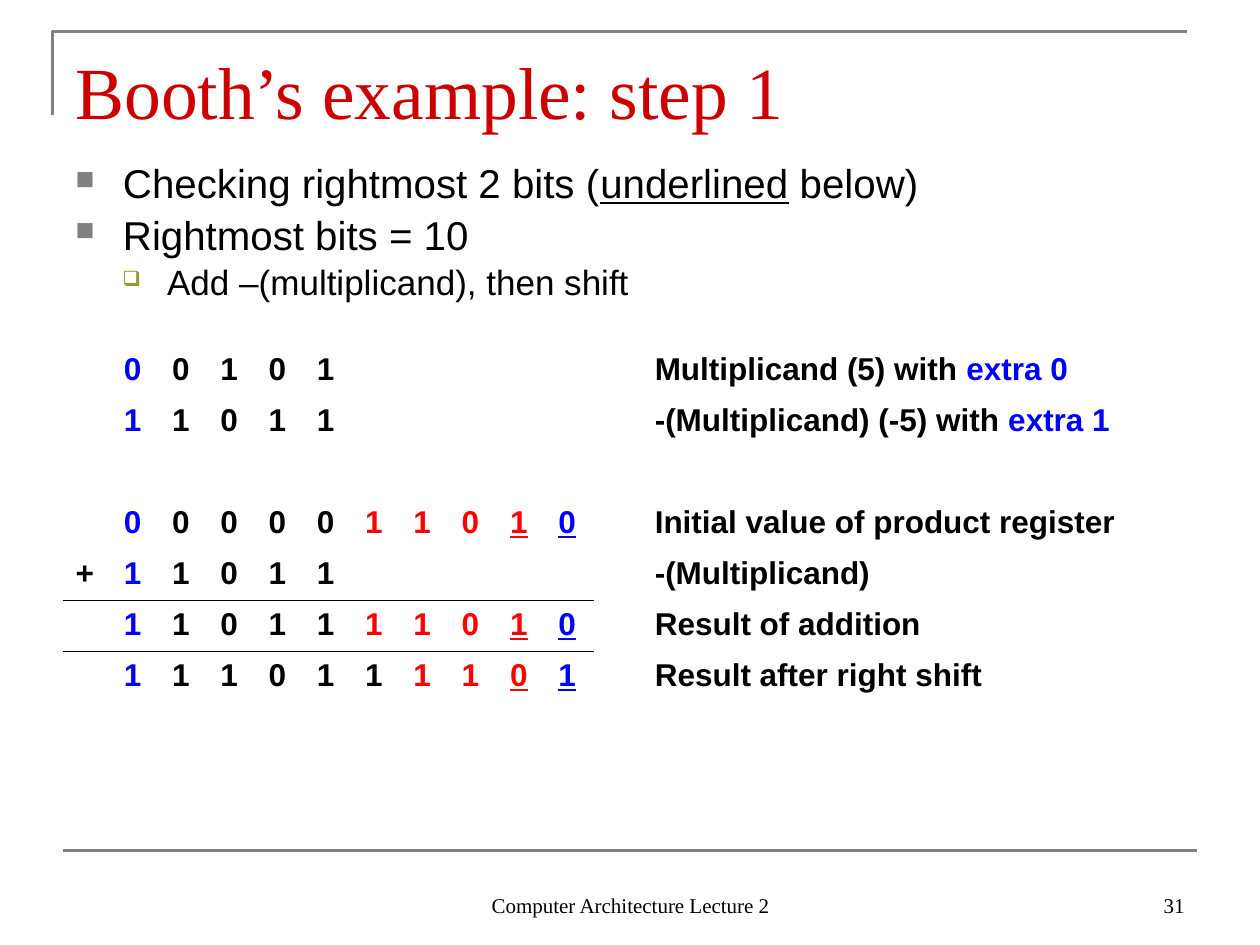
import lxml.etree
import pptx
import pptx.dml.color
import pptx.enum.shapes
import pptx.enum.text
import pptx.oxml
import pptx.oxml.ns
import pptx.util
from pptx.util import Cm

COLORS = {"title": "CC0000", "text": "000000", "extra": "0000FF", "multiplier": "FF0000",
          "frame": "808080", "sub_bullet": "999933"}
SERIF, SANS = "Times New Roman", "Arial"
ALIGN, ANCHOR = pptx.enum.text.PP_ALIGN, pptx.enum.text.MSO_ANCHOR
NO_STYLE = "{2D5ABB26-0587-4C30-8999-92F81FD0307C}"

BODY = {"size": 23, "left": 0.96, "hang": 0.96, "before": 5.8,
        "mark": "■", "mark_color": "frame", "mark_size": 65}
SUB = {"size": 20, "left": 1.85, "hang": 0.9, "before": 5,
       "mark": "❑", "mark_color": "sub_bullet", "mark_size": 60}
BULLETS = [
    (BODY, [("Checking rightmost 2 bits (", False), ("underlined", True), (" below)", False)]),
    (BODY, [("Rightmost bits = 10", False)]),
    (SUB, [("Add –(multiplicand), then shift", False)]),
]

# sign, bits, first multiplier bit, description, highlighted end of description
STEPS = [
    ("", "00101", 5, "Multiplicand (5) with ", "extra 0"),
    ("", "11011", 5, "-(Multiplicand) (-5) with ", "extra 1"),
    ("", "", 5, "", ""),
    ("", "0000011010", 5, "Initial value of product register", ""),
    ("+", "11011", 5, "-(Multiplicand)", ""),
    ("", "1101111010", 5, "Result of addition", ""),
    ("", "1110111101", 6, "Result after right shift", ""),
]
SUM_ROW = 4
BIT_COUNT = 10


def rgb(name):
    return pptx.dml.color.RGBColor.from_string(COLORS[name])


def add_span(para, text, color="text", **formats):
    span = para.add_run()
    span.text = text
    span.font.color.rgb = rgb(color)
    for name, value in formats.items():
        setattr(span.font, name, pptx.util.Pt(value) if name == "size" else value)


def add_box(page, left, top, width, height, **formats):
    """Add a wrapping text box and return its text frame."""
    frame = page.shapes.add_textbox(Cm(left), Cm(top), Cm(width), Cm(height)).text_frame
    frame.word_wrap = True
    for name, value in formats.items():
        setattr(frame, name, value)
    return frame


def add_label(page, position, text, size, color="text", align=ALIGN.LEFT, **formats):
    para = add_box(page, *position, vertical_anchor=ANCHOR.BOTTOM, **formats).paragraphs[0]
    para.alignment = align
    add_span(para, text, color, size=size, name=SERIF)


def style_line(shape):
    shape.line.color.rgb = rgb("frame")
    shape.line.width = pptx.util.Pt(1.5)


def add_frame_lines(page):
    builder = page.shapes.build_freeform(Cm(1.06), Cm(2.32))
    builder.add_line_segments([(Cm(1.06), Cm(0.63)), (Cm(23.92), Cm(0.63))], close=False)
    corner = builder.convert_to_shape()
    corner.fill.background()
    corner.shadow.inherit = False
    style_line(corner)
    rule = page.shapes.add_connector(pptx.enum.shapes.MSO_CONNECTOR.STRAIGHT,
                                     Cm(1.27), Cm(17.14), Cm(24.13), Cm(17.14))
    style_line(rule)
    lxml.etree.SubElement(rule._element.spPr, pptx.oxml.ns.qn("a:effectLst"))


def set_bullet(para, style):
    properties = para._p.get_or_add_pPr()
    properties.set("marL", str(Cm(style["left"])))
    properties.set("indent", str(-Cm(style["hang"])))
    namespace = pptx.oxml.ns.nsdecls("a")
    for xml in (
        f'<a:buClr {namespace}><a:srgbClr val="{COLORS[style["mark_color"]]}"/></a:buClr>',
        f'<a:buSzPct {namespace} val="{style["mark_size"] * 1000}"/>',
        f'<a:buChar {namespace} char="{style["mark"]}"/>',
    ):
        properties.append(pptx.oxml.parse_xml(xml))


def add_bullets(page):
    frame = add_box(page, 1.27, 3.18, 22.86, 2.97, margin_top=Cm(0.17))
    for index, (style, spans) in enumerate(BULLETS):
        para = frame.add_paragraph() if index else frame.paragraphs[0]
        para.level = int(style is SUB)
        para.line_spacing = 0.85
        if index:
            para.space_before = pptx.util.Pt(style["before"])
        set_bullet(para, style)
        for text, underline in spans:
            add_span(para, text, size=style["size"], name=SANS, underline=underline)


def set_border(cell, side):
    cell._tc.get_or_add_tcPr().insert(0, pptx.oxml.parse_xml(
        f'<a:{side} {pptx.oxml.ns.nsdecls("a")} w="5715"><a:solidFill>'
        f'<a:srgbClr val="{COLORS["text"]}"/></a:solidFill></a:{side}>'))


def bit_color(index, multiplier_start):
    if index in (0, BIT_COUNT - 1):
        return "extra"
    return "multiplier" if index >= multiplier_start else "text"


def add_steps(page):
    column_count = BIT_COUNT + 3
    table = page.shapes.add_table(len(STEPS), column_count, Cm(1.27), Cm(6.96),
                                  Cm(21.87), Cm(7.21)).table
    table.first_row = table.horz_banding = False
    table._tbl.tblPr.find(pptx.oxml.ns.qn("a:tableStyleId")).text = NO_STYLE
    for index, column in enumerate(table.columns):
        column.width = Cm(10.2) if index == column_count - 1 else Cm(0.973)
    for row in table.rows:
        row.height = Cm(1.03)
    for cell in table.iter_cells():
        cell.fill.background()

    font = {"size": 18, "name": SANS, "bold": True}
    for row, (sign, bits, multiplier_start, description, ending) in enumerate(STEPS):
        entries = [(0, sign, "text", False),
                   (column_count - 1, description, "text", False),
                   (column_count - 1, ending, "extra", False)]
        entries += [(index + 1, bit, bit_color(index, multiplier_start), index >= BIT_COUNT - 2)
                    for index, bit in enumerate(bits)]
        for column, text, color, underline in entries:
            if text:
                para = table.cell(row, column).text_frame.paragraphs[0]
                add_span(para, text, color, underline=underline, **font)
    for column in range(BIT_COUNT + 1):
        set_border(table.cell(SUM_ROW, column), "lnB")
        set_border(table.cell(SUM_ROW + 1, column), "lnT")


def main():
    deck = pptx.Presentation()
    deck.slide_width, deck.slide_height = Cm(25.4), Cm(19.05)
    page = deck.slides.add_slide(deck.slide_layouts[6])
    add_frame_lines(page)
    add_label(page, (1.27, 0.76, 22.86, 1.98), "Booth’s example: step 1", 42, "title",
              margin_bottom=Cm(0.03))
    add_bullets(page)
    add_label(page, (8.69, 17.35, 8.05, 1.27), "Computer Architecture Lecture 2", 12,
              align=ALIGN.CENTER)
    add_label(page, (18.21, 17.35, 5.92, 1.27), "31", 12, align=ALIGN.RIGHT)
    add_steps(page)
    deck.save("out.pptx")


if __name__ == "__main__":
    main()
